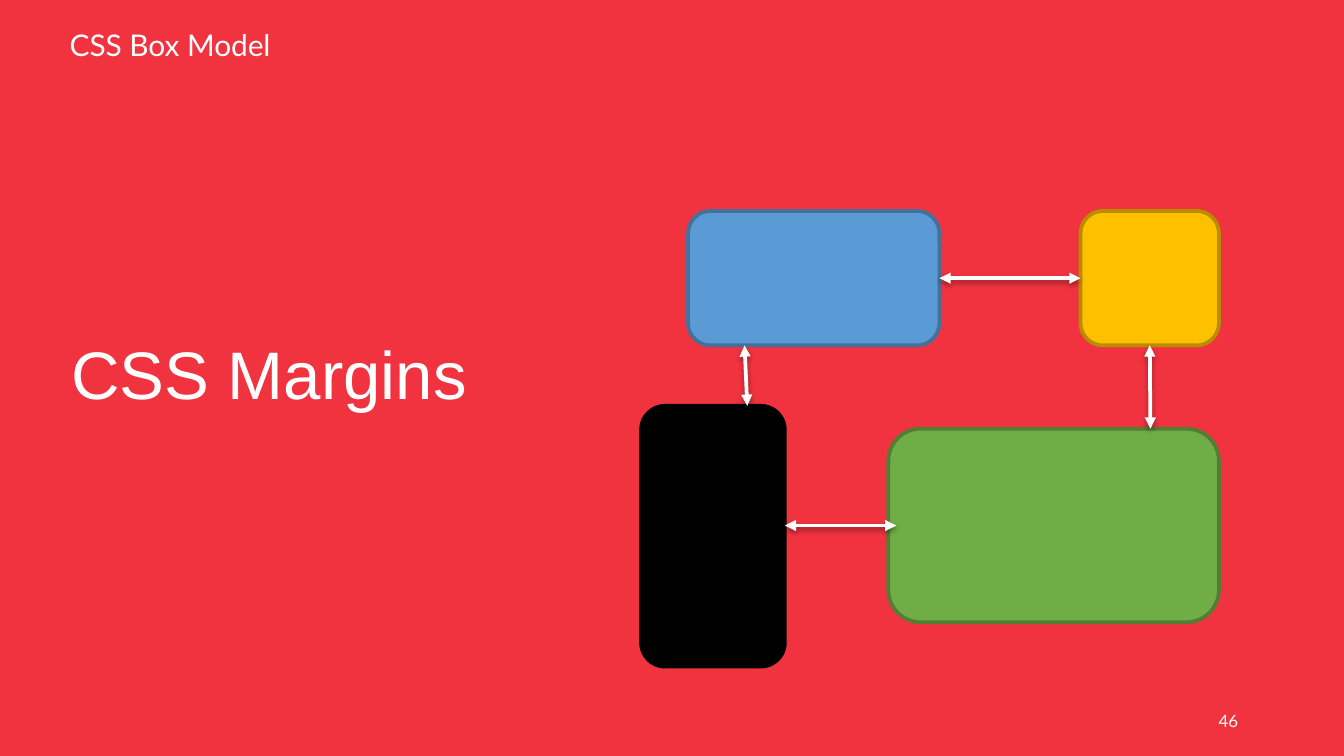
from lxml import etree
from pptx import Presentation
from pptx.dml.color import RGBColor
from pptx.enum.shapes import MSO_CONNECTOR, MSO_SHAPE
from pptx.enum.text import MSO_ANCHOR, PP_ALIGN
from pptx.oxml import parse_xml
from pptx.oxml.ns import nsdecls, qn
from pptx.util import Inches, Pt

STRAIGHT = MSO_CONNECTOR.STRAIGHT
ROUNDED = MSO_SHAPE.ROUNDED_RECTANGLE
MIDDLE = MSO_ANCHOR.MIDDLE
LEFT, RIGHT = PP_ALIGN.LEFT, PP_ALIGN.RIGHT
SIDE_LEFT, SIDE_BOTTOM, SIDE_RIGHT = 1, 2, 3

COLORS = {
    "background": "F1333F", "white": "FFFFFF",
    "blue": "5B9BD5", "blue_edge": "42719B",
    "yellow": "FFC000", "yellow_edge": "BA8C00",
    "black": "000000", "black_edge": "000000",
    "green": "70AD47", "green_edge": "517E33",
}

TITLE = ("CSS Margins", (0.43, 2.5, 4.06, 0.62), "Arial", 36, LEFT, 0.9)
LABELS = [
    ("46", (7.06, 5.21, 2.25, 0.3), "Lato", 9, RIGHT, 1.0),
    ("CSS Box Model", (0.42, 0.14, 4.69, 0.44), "Lato", 16, LEFT, 0.8),
]
BOXES = {
    "blue": (5.12, 1.57, 1.87, 1),
    "yellow": (8.04, 1.57, 1.03, 1),
    "black": (4.77, 3.02, 1.07, 1.94),
    "green": (6.61, 3.19, 2.46, 1.44),
}
# start point, end point, joined start (box, side), joined end (box, side)
ARROWS = [
    ((8.55, 2.57), (8.56, 3.19), ("yellow", SIDE_BOTTOM), None),
    ((6.99, 2.07), (8.04, 2.07), ("blue", SIDE_RIGHT), ("yellow", SIDE_LEFT)),
    ((5.84, 3.91), (6.67, 3.91), None, None),
    ((5.56, 3.02), (5.54, 2.57), None, None),
]


def rgb(name):
    return RGBColor.from_string(COLORS[name])


def inches(values):
    return [Inches(v) for v in values]


def write_text(sp, text, place, font, size, align, spacing):
    sp.left, sp.top, sp.width, sp.height = inches(place)
    tf = sp.text_frame
    tf.word_wrap = True
    tf.vertical_anchor = MIDDLE
    p = tf.paragraphs[0]
    p.text = text
    p.alignment = align
    p.line_spacing = spacing
    p.font.name = font
    p.font.size = Pt(size)
    p.font.color.rgb = rgb("white")


def add_box(s, name, place):
    sp = s.shapes.add_shape(ROUNDED, *inches(place))
    sp.shadow.inherit = False
    sp.fill.solid()
    sp.fill.fore_color.rgb = rgb(name)
    sp.line.color.rgb = rgb(name + "_edge")
    sp.line.width = Pt(2)
    return sp


def add_arrow(s, start, end):
    """Add a white double-headed arrow with a soft shadow below it."""
    arrow = s.shapes.add_connector(STRAIGHT, *inches(start + end))
    arrow.line.color.rgb = rgb("white")
    arrow.line.width = Pt(2)
    ln = arrow.line._get_or_add_ln()
    for tag in ("a:headEnd", "a:tailEnd"):
        etree.SubElement(ln, qn(tag), type="triangle")
    arrow._element.spPr.append(parse_xml(
        f'<a:effectLst {nsdecls("a")}>'
        f'<a:outerShdw blurRad="{Pt(3.1)}" dist="{Pt(1.6)}" dir="5400000" rotWithShape="0">'
        f'<a:srgbClr val="{COLORS["black"]}"><a:alpha val="38000"/></a:srgbClr>'
        '</a:outerShdw></a:effectLst>'))
    return arrow


def main():
    prs = Presentation()
    prs.slide_width = Inches(10)
    prs.slide_height = prs.slide_width * 9 // 16
    s = prs.slides.add_slide(prs.slide_layouts[5])
    s.background.fill.solid()
    s.background.fill.fore_color.rgb = rgb("background")

    write_text(s.shapes.title, *TITLE)
    for label in LABELS:
        write_text(s.shapes.add_textbox(0, 0, 0, 0), *label)

    boxes = {name: add_box(s, name, place) for name, place in BOXES.items()}
    for start, end, start_join, end_join in ARROWS:
        arrow = add_arrow(s, start, end)
        if start_join:
            name, side = start_join
            arrow.begin_connect(boxes[name], side)
        if end_join:
            name, side = end_join
            arrow.end_connect(boxes[name], side)

    prs.save("out.pptx")


if __name__ == "__main__":
    main()
